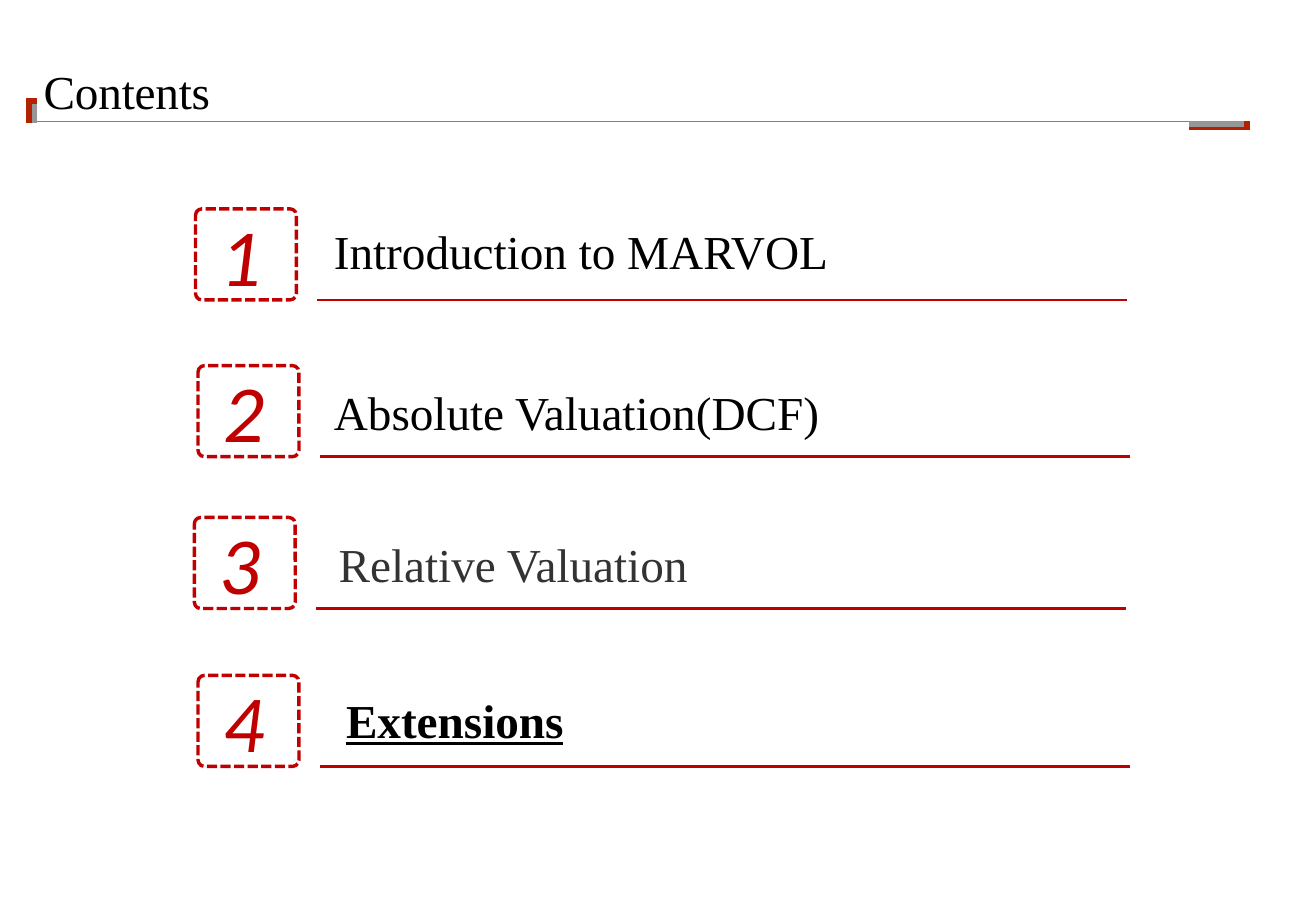
import pptx
import pptx.util
import pptx.dml.color
import pptx.enum.dml
import pptx.enum.shapes
import pptx.oxml.ns
import lxml.etree

Pt = pptx.util.Pt
COLORS = {
    "red": "C00000",
    "rust": "B42100",
    "rule": "808080",
    "gray": "969696",
    "black": "000000",
    "dark": "333333",
}
SERIF = "Times New Roman"
HEADER_LINES = [
    (21.6, 72, 704.9, 72, "rule", 1),
    (18.7, 72.7, 18.7, 58.3, "rust", 6),
    (20.2, 72.7, 20.2, 61.9, "gray", 3),
    (704.9, 74.2, 740.9, 74.2, "rust", 5.5),
    (704.9, 73.4, 737.3, 73.4, "gray", 3.38),
]
ITEMS = [
    ("Introduction to MARVOL", 115.9, 123.8, 190.8, 128.2, "black", False),
    ("Absolute Valuation(DCF)", 117.4, 216.7, 190.8, 223.9, "black", False),
    ("Relative Valuation", 115.2, 306.7, 193.7, 313.9, "dark", False),
    ("Extensions", 117.4, 400.3, 198, 406.1, "black", True),
]


def rgb(name):
    return pptx.dml.color.RGBColor.from_string(COLORS[name])


def add_line(s, x1, y1, x2, y2, color, width):
    sp = s.shapes.add_connector(
        pptx.enum.shapes.MSO_CONNECTOR.STRAIGHT, Pt(x1), Pt(y1), Pt(x2), Pt(y2))
    sp.line.color.rgb = rgb(color)
    sp.line.width = Pt(width)
    lxml.etree.SubElement(sp._element.spPr, pptx.oxml.ns.qn("a:effectLst"))


def add_text(s, text, x, y, w, h, size, color, font=SERIF):
    tf = s.shapes.add_textbox(Pt(x), Pt(y), Pt(w), Pt(h)).text_frame
    tf.word_wrap = True
    tf.text = text
    r = tf.paragraphs[0].runs[0]
    r.font.size = Pt(size)
    r.font.name = font
    r.font.color.rgb = rgb(color)
    return tf, r


def add_title(s, text):
    tf, r = add_text(s, text, 25.9, 36, 627.8, 65.5, 28, "black")
    tf.margin_left = tf.margin_right = tf.margin_bottom = 0
    tf.margin_top = Pt(0.9)
    tf.paragraphs[0].space_before = Pt(1)
    r._r.get_or_add_rPr().set("spc", "-10")


def add_number_box(s, number, x, y):
    sp = s.shapes.add_shape(
        pptx.enum.shapes.MSO_SHAPE.ROUNDED_RECTANGLE, Pt(x), Pt(y), Pt(59.8), Pt(54))
    sp.adjustments[0] = 0.07
    sp.shadow.inherit = False
    sp.fill.background()
    sp.line.color.rgb = rgb("red")
    sp.line.width = Pt(2)
    sp.line.dash_style = pptx.enum.dml.MSO_LINE.SQUARE_DOT
    tf, r = add_text(s, str(number), x + 8, y - 5.8, 66.2, 65.5, 48, "red", "Calibri")
    r.font.italic = True


def add_item(s, number, text, x, y, text_x, text_y, color, current):
    add_number_box(s, number, x, y)
    add_line(s, x + 72, y + 54, x + 552.3, y + 54, "red", 1.5)
    tf, r = add_text(s, text, text_x, text_y, 470, 41, 28, color)
    if current:
        r.font.bold = True
        r.font.underline = True


def main():
    prs = pptx.Presentation()
    prs.slide_width, prs.slide_height = Pt(780), Pt(540)
    s = prs.slides.add_slide(prs.slide_layouts[6])
    for line in HEADER_LINES:
        add_line(s, *line)
    add_title(s, "Contents")
    for number, item in enumerate(ITEMS, 1):
        add_item(s, number, *item)
    prs.save("out.pptx")


if __name__ == "__main__":
    main()
